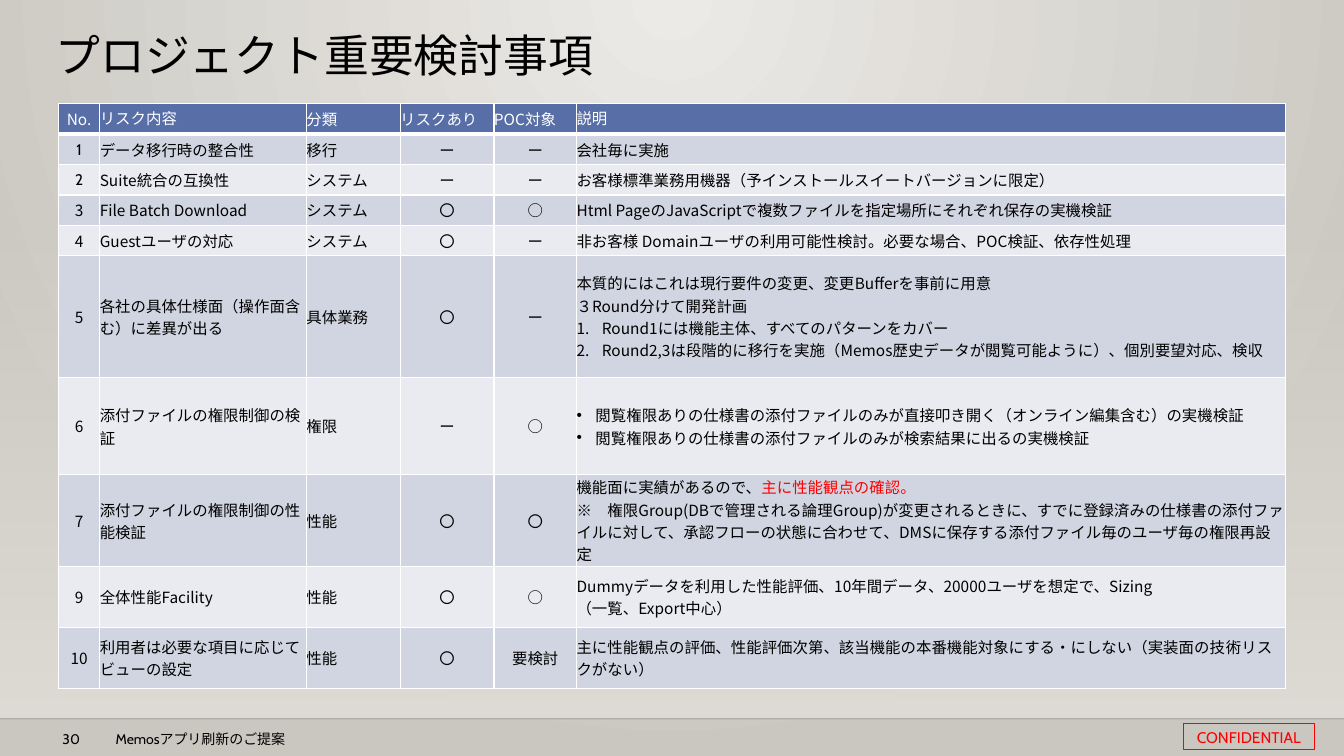
from lxml import etree
from pptx import Presentation
from pptx.dml.color import RGBColor
from pptx.enum.shapes import MSO_CONNECTOR, MSO_SHAPE
from pptx.enum.text import MSO_ANCHOR, MSO_AUTO_SIZE, PP_ALIGN
from pptx.oxml.ns import qn
from pptx.util import Pt

LEFT, CENTER = PP_ALIGN.LEFT, PP_ALIGN.CENTER
TOP, MIDDLE = MSO_ANCHOR.TOP, MSO_ANCHOR.MIDDLE
NO_FIT = MSO_AUTO_SIZE.NONE
RECT, LINE = MSO_SHAPE.RECTANGLE, MSO_CONNECTOR.STRAIGHT
CABIN, NOTO, ARIAL = "Cabin", "Noto Sans CJK JP", "Arial"
BLACK, WHITE, RED = "000000", "FFFFFF", "FF0000"
HEAD, BANDS = "586EA6", ("EAEBF1", "D1D5E1")
WIDTH, HEIGHT = 960, 540

# Table content
COLS = [29.5, 147.6, 67, 67, 59, 506.2]
ROWS = [21.7] * 5 + [87.1, 69.3, 65.5, 43.7, 43.7]
NUM, BUL = {"mark": "num"}, {"mark": "bul"}
TITLES = ["No.", "リスク内容", "分類", "リスクあり", "POC対象", "説明"]
RISKS = [
    ["1", "データ移行時の整合性", "移行", "ー", "ー", "会社毎に実施"],
    ["2", "Suite統合の互換性", "システム", "ー", "ー",
     "お客様標準業務用機器（予インストールスイートバージョンに限定）"],
    ["3", "File Batch Download", "システム", "〇", "○",
     "Html PageのJavaScriptで複数ファイルを指定場所にそれぞれ保存の実機検証"],
    ["4", "Guestユーザの対応", "システム", "〇", "ー",
     "非お客様 Domainユーザの利用可能性検討。必要な場合、POC検証、依存性処理"],
    ["5", "各社の具体仕様面（操作面含む）に差異が出る", "具体業務", "〇", "ー", [
        ("本質的にはこれは現行要件の変更、変更Bufferを事前に用意", {}),
        ("３Round分けて開発計画", {}),
        ("Round1には機能主体、すべてのパターンをカバー", NUM),
        ("Round2,3は段階的に移行を実施（Memos歴史データが閲覧可能ように）、"
         "個別要望対応、検収", NUM)]],
    ["6", "添付ファイルの権限制御の検証", "権限", "ー", "○", [
        ("閲覧権限ありの仕様書の添付ファイルのみが直接叩き開く"
         "（オンライン編集含む）の実機検証", BUL),
        ("閲覧権限ありの仕様書の添付ファイルのみが検索結果に出るの実機検証", BUL)]],
    ["7", "添付ファイルの権限制御の性能検証", "性能", "〇", "〇", [
        ("機能面に実績があるので、", {}),
        ("主に性能観点の確認。", {"color": RED, "more": True}),
        ("※　", {"font": ARIAL}),
        ("権限Group(DBで管理される論理Group)が変更されるときに、"
         "すでに登録済みの仕様書の添付ファイルに対して、承認フローの状態に合わせて、"
         "DMSに保存する添付ファイル毎のユーザ毎の権限再設定", {"more": True})]],
    ["9", "全体性能Facility", "性能", "〇", "○", [
        ("Dummyデータを利用した性能評価、10年間データ、20000ユーザを想定で、Sizing", {}),
        ("（一覧、Export中心）", {})]],
    ["10", "利用者は必要な項目に応じてビューの設定", "性能", "〇", "要検討",
     "主に性能観点の評価、性能評価次第、該当機能の本番機能対象にする・にしない"
     "（実装面の技術リスクがない）"],
]


def rgb(code):
    return RGBColor.from_string(code)


def add(node, tag, **attrs):
    return etree.SubElement(node, qn(tag), {k: str(v) for k, v in attrs.items()})


def fade(fill, first, last):
    fill.gradient()
    for stop, code in zip(fill.gradient_stops, (first, last)):
        stop.color.rgb = rgb(code)


def put(frame, text, size=11, font=NOTO, color=BLACK, align=LEFT,
        mark=None, more=False, space=1):
    """Write text as a new paragraph, or as a further run of the last one."""
    para = frame.paragraphs[-1]
    if para.runs and not more:
        para = frame.add_paragraph()
    if not more:
        para.alignment, para.line_spacing = align, space
    if mark:
        props = para._p.get_or_add_pPr()
        dent = Pt(18 if mark == "num" else 13.5)
        props.set("marL", str(dent))
        props.set("indent", str(-dent))
        if mark == "num":
            add(props, "a:buFont", typeface="+mj-lt")
            add(props, "a:buAutoNum", type="arabicPeriod")
        else:
            add(props, "a:buFont", typeface=ARIAL)
            add(props, "a:buChar", char="•")
    run = para.add_run()
    run.text = text
    run.font.size, run.font.bold = Pt(size), False
    run.font.color.rgb = rgb(color)
    run.font.name = font
    add(run._r.get_or_add_rPr(), "a:ea", typeface=font)


class Deck:
    def __init__(self):
        self.show = Presentation()
        self.show.slide_width, self.show.slide_height = Pt(WIDTH), Pt(HEIGHT)
        self.slide = self.show.slides.add_slide(self.show.slide_layouts[5])
        self.shapes = self.slide.shapes

    def back(self, first, last):
        fade(self.slide.background.fill, first, last)
        grad = self.slide.element.find(".//" + qn("a:gradFill"))
        for lin in grad.findall(qn("a:lin")):
            grad.remove(lin)
        path = add(grad, "a:path", path="circle")
        add(path, "a:fillToRect", l=43000, t=0, r=43000, b=100000)

    def title(self, text, *box):
        shape = self.shapes.title
        shape.left, shape.top, shape.width, shape.height = map(Pt, box)
        frame = shape.text_frame
        frame.auto_size, frame.vertical_anchor = NO_FIT, TOP
        put(frame, text, size=32, font=CABIN, space=0.9)

    def rect(self, *box):
        shape = self.shapes.add_shape(RECT, *map(Pt, box))
        shape.shadow.inherit = False
        return shape

    def veil(self, code, *box):
        shape = self.rect(*box)
        fade(shape.fill, code, code)
        shape.fill.gradient_angle = 270
        shape.line.fill.background()
        clear = shape._element.find(".//" + qn("a:gs") + "/" + qn("a:srgbClr"))
        add(clear, "a:alpha", val=0)

    def rule(self, top):
        line = self.shapes.add_connector(LINE, 0, Pt(top), Pt(WIDTH), Pt(top))
        line.line.width = Pt(1)
        line.line.color.rgb = rgb("000001")
        add(line._element.find(".//" + qn("a:srgbClr")), "a:alpha", val=20000)
        add(line._element.spPr, "a:effectLst")

    def label(self, text, *box):
        frame = self.shapes.add_textbox(*map(Pt, box)).text_frame
        frame.word_wrap = True
        put(frame, text, size=10, font=CABIN)

    def stamp(self, text, *box):
        shape = self.rect(*box)
        shape.fill.background()
        shape.line.color.rgb, shape.line.width = rgb(RED), Pt(0.75)
        frame = shape.text_frame
        frame.vertical_anchor = MIDDLE
        frame.margin_left = frame.margin_right = Pt(3)
        frame.margin_top = frame.margin_bottom = Pt(3)
        put(frame, text, font=CABIN, color=RED, align=CENTER)

    def cell(self, cell, text, fill, base=1, **style):
        cell.margin_left = cell.margin_right = 0
        cell.margin_top = cell.margin_bottom = 0
        cell.vertical_anchor = MIDDLE
        for side, width in zip("LRTB", (1, 1, 1, base)):
            edge = add(cell._tc.get_or_add_tcPr(), "a:ln" + side, w=Pt(width))
            add(add(edge, "a:solidFill"), "a:srgbClr", val=WHITE)
        cell.fill.solid()
        cell.fill.fore_color.rgb = rgb(fill)
        parts = [(text, {})] if isinstance(text, str) else text
        for part, extra in parts:
            put(cell.text_frame, part, **{**style, **extra})

    def table(self, left, top):
        size = map(Pt, (left, top, sum(COLS), sum(ROWS)))
        grid = self.shapes.add_table(len(ROWS), len(COLS), *size).table
        grid.horz_banding = False
        for col, width in zip(grid.columns, COLS):
            col.width = Pt(width)
        for row, height in zip(grid.rows, ROWS):
            row.height = Pt(height)
        for c, text in enumerate(TITLES):
            self.cell(grid.cell(0, c), text, HEAD, base=3, color=WHITE,
                      font=CABIN if c in (1, 5) else NOTO,
                      align=CENTER if c == 0 else LEFT)
        for r, risk in enumerate(RISKS, 1):
            for c, text in enumerate(risk):
                self.cell(grid.cell(r, c), text, BANDS[r % 2],
                          font=CABIN if c == 0 and r < 3 else NOTO,
                          align=CENTER if c in (0, 3, 4) else LEFT)


def main():
    deck = Deck()
    # Backdrop
    deck.back("ECEAE7", "CAC7C1")
    deck.veil("DFDBD5", 0, 159, WIDTH, 355)
    deck.rule(513.5)
    # Footer
    deck.label("30", 37.5, 518.5, 29, 14)
    deck.label("Memosアプリ刷新のご提案", 75.5, 518.5, 408, 14)
    deck.stamp("CONFIDENTIAL", 845.3, 517, 93.6, 18.7)
    # Title and risk table
    deck.title("プロジェクト重要検討事項", 32.4, 20.2, 734, 54)
    deck.table(41.8, 74.2)
    deck.show.save("out.pptx")


if __name__ == "__main__":
    main()
